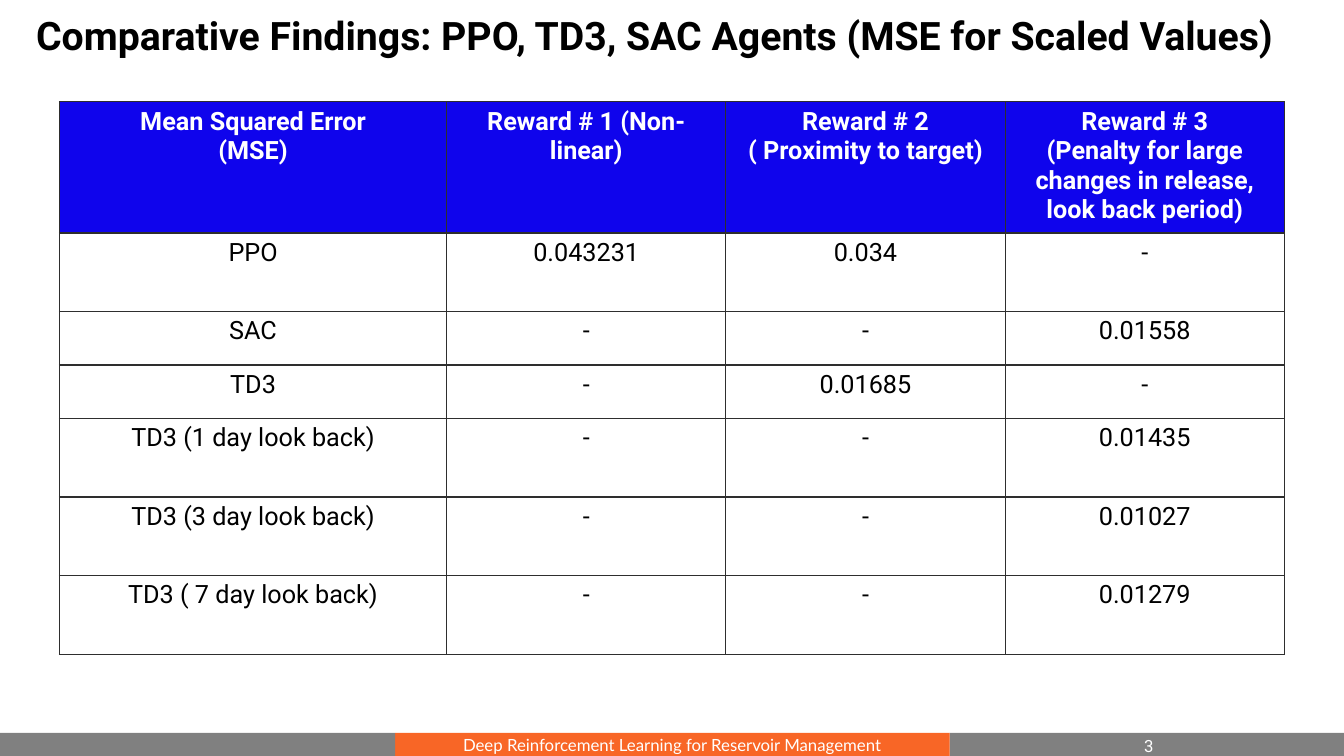
from lxml.etree import SubElement
from pptx import Presentation
from pptx.dml.color import RGBColor
from pptx.enum.shapes import MSO_SHAPE as SHAPE
from pptx.enum.text import MSO_ANCHOR as ANCHOR, PP_ALIGN as ALIGN
from pptx.oxml.ns import qn
from pptx.util import Inches, Pt

BLUE, ORANGE, GREY = "0F04EC", "F86626", "808080"
BLACK, WHITE, RULE = "000000", "FFFFFF", "2E2E2E"

HEADER = [
    "Mean Squared Error\n(MSE)",
    "Reward # 1 (Non-linear)",
    "Reward # 2\n( Proximity to target)",
    "Reward # 3\n(Penalty for large changes in release, look back period)",
]
RESULTS = [
    ["PPO", "0.043231", "0.034", "-"],
    ["SAC", "-", "-", "0.01558"],
    ["TD3", "-", "0.01685", "-"],
    ["TD3 (1 day look back)", "-", "-", "0.01435"],
    ["TD3 (3 day look back)", "-", "-", "0.01027"],
    ["TD3 ( 7 day look back)", "-", "-", "0.01279"],
]


def rgb(value):
    return RGBColor.from_string(value)


class Deck:
    """Draw styled elements, with lengths as percentages of the slide."""

    def __init__(self, font="Roboto"):
        self.font = font
        self.prs = Presentation()
        self.prs.slide_width, self.prs.slide_height = Inches(13.33), Inches(7.5)
        self.s = self.prs.slides.add_slide(self.prs.slide_layouts[6])

    def x(self, share):
        return round(self.prs.slide_width * share / 100)

    def y(self, share):
        return round(self.prs.slide_height * share / 100)

    def box(self, left, top, width, height):
        return self.x(left), self.y(top), self.x(width), self.y(height)

    def set_text(self, tf, text, size, color, bold=False, align=ALIGN.LEFT, font=None):
        tf.text = text
        tf.word_wrap = True
        for p in tf.paragraphs:
            p.alignment = align
            for r in p.runs:
                r.font.name = font or self.font
                r.font.size = Pt(size)
                r.font.bold = bold
                r.font.color.rgb = rgb(color)

    def text(self, area, text, size, color, bold=False, anchor=ANCHOR.TOP, spacing=1.0):
        tf = self.s.shapes.add_textbox(*self.box(*area)).text_frame
        self.set_text(tf, text, size, color, bold)
        tf.vertical_anchor = anchor
        tf.paragraphs[0].line_spacing = spacing

    def bar(self, area, fill, text=""):
        sp = self.s.shapes.add_shape(SHAPE.RECTANGLE, *self.box(*area))
        sp.shadow.inherit = False
        sp.fill.solid()
        sp.fill.fore_color.rgb = rgb(fill)
        sp.line.fill.background()
        if text:
            tf = sp.text_frame
            self.set_text(tf, text, 12, WHITE, align=ALIGN.CENTER, font="Lato")
            tf.vertical_anchor = ANCHOR.MIDDLE

    def border(self, cell):
        tc_pr = cell._tc.get_or_add_tcPr()
        for side in ("a:lnL", "a:lnR", "a:lnT", "a:lnB"):
            ln = SubElement(tc_pr, qn(side), w=str(Pt(1)))
            SubElement(SubElement(ln, qn("a:solidFill")), qn("a:srgbClr"), val=RULE)

    def table(self, left, top, widths, heights, rows):
        area = self.box(left, top, sum(widths), sum(heights))
        table = self.s.shapes.add_table(len(rows), len(widths), *area).table
        for column, width in zip(table.columns, widths):
            column.width = self.x(width)
        for row, height in zip(table.rows, heights):
            row.height = self.y(height)
        for i, values in enumerate(rows):
            fill, color = (WHITE, BLACK) if i else (BLUE, WHITE)
            for j, value in enumerate(values):
                cell = table.cell(i, j)
                self.set_text(cell.text_frame, value, 18, color, i == 0, ALIGN.CENTER)
                self.border(cell)
                cell.fill.solid()
                cell.fill.fore_color.rgb = rgb(fill)


def main():
    deck = Deck()
    side, middle, top, height = 29.4, 41.25, 96.93, 3.07
    right = side + middle
    deck.bar((right, top, 100 - right, height), GREY)
    deck.bar((side, top, middle, height), ORANGE,
             "Deep Reinforcement Learning for Reservoir Management")
    deck.bar((0, top, side, height), GREY)
    deck.text((1.95, 0.8, 98.05, 8.27),
              "Comparative Findings: PPO, TD3, SAC Agents (MSE for Scaled Values)",
              28, BLACK, bold=True, anchor=ANCHOR.MIDDLE, spacing=0.9)
    deck.text((84.4, 96.67, 3.38, 3.33), "3", 12, WHITE)
    tall, short = 10.4, 7.07
    deck.table(4.43, 13.47, [28.8] + [20.78] * 3,
               [14.8, tall, short, short] + [tall] * 3, [HEADER] + RESULTS)
    deck.prs.save("out.pptx")


if __name__ == "__main__":
    main()
